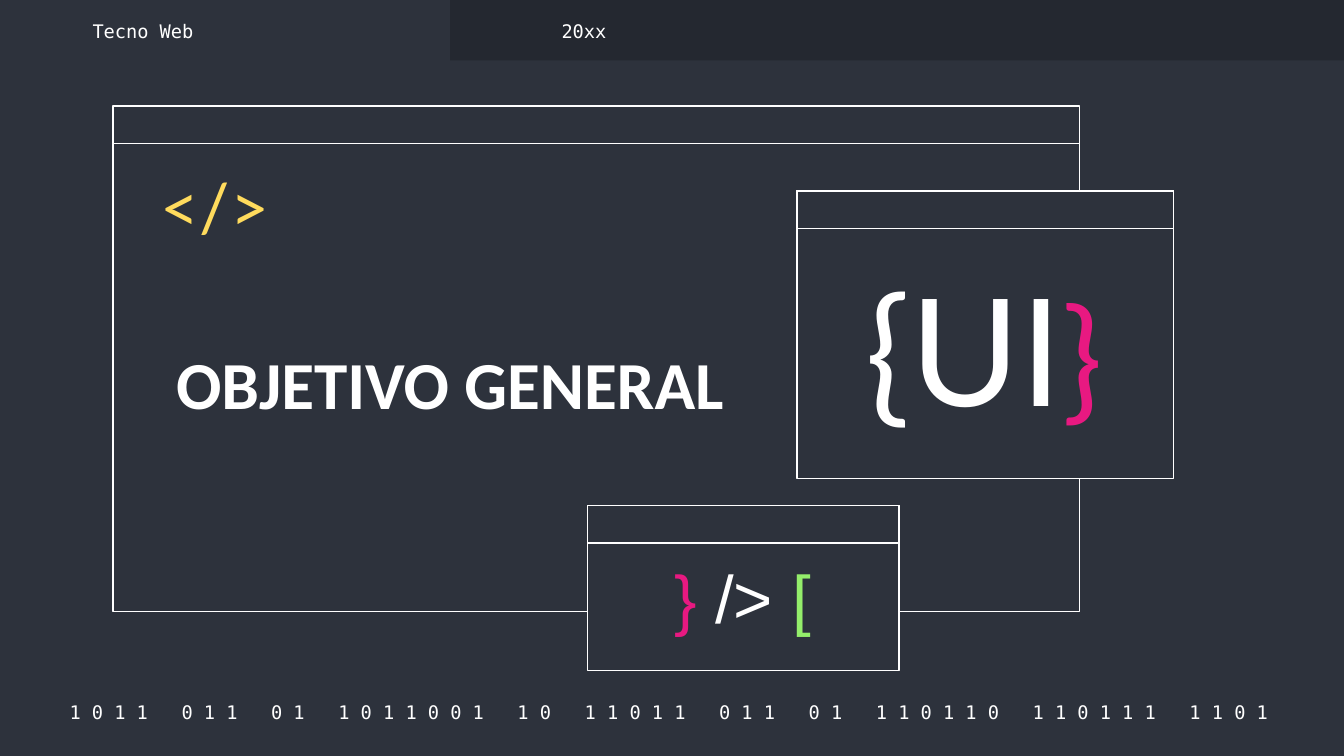
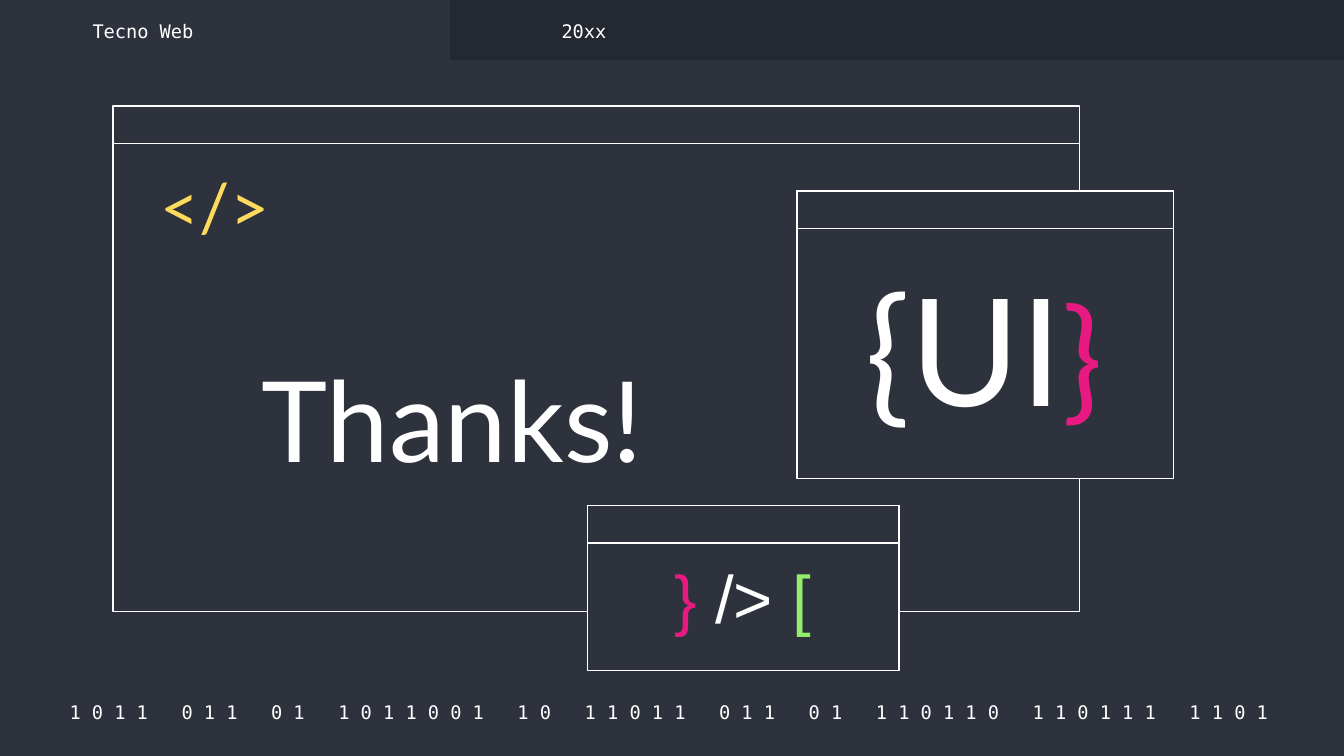
from pptx import Presentation
from pptx.dml.color import RGBColor
from pptx.enum.shapes import MSO_SHAPE
from pptx.enum.text import MSO_ANCHOR, MSO_AUTO_SIZE, PP_ALIGN
from pptx.util import Inches, Pt

RECT = MSO_SHAPE.RECTANGLE
TOP, MIDDLE, BOTTOM = MSO_ANCHOR.TOP, MSO_ANCHOR.MIDDLE, MSO_ANCHOR.BOTTOM
LEFT, CENTER, RIGHT = PP_ALIGN.LEFT, PP_ALIGN.CENTER, PP_ALIGN.RIGHT

DARK = RGBColor(0x2D, 0x32, 0x3C)
BAND = RGBColor(0x24, 0x28, 0x30)
WHITE = RGBColor(0xFF, 0xFF, 0xFF)
PINK = RGBColor(0xE8, 0x19, 0x81)
YELLOW = RGBColor(0xFF, 0xDB, 0x5D)
GREEN = RGBColor(0x94, 0xEE, 0x6B)

MONO, LATO, ARIAL, CALIBRI = "DejaVu Sans Mono", "Lato", "Arial", "Calibri"

# Content: title, font, size, bold, alignment
SLIDES = [
    ("OBJETIVO GENERAL", CALIBRI, 36, True, LEFT),
    ("Thanks!", LATO, 60, False, CENTER),
]
BITS = "1011 011 01 1011001 10 11011 011 01 110110 110111 1101".split()
CODE = "   ".join(" ".join(group) for group in BITS) + " "

# Windows from back to front: left, top, width, height
WINDOWS = [
    (0.84, 0.79, 7.19, 3.76),
    (4.37, 3.76, 2.32, 1.23),
    (5.93, 1.42, 2.8, 2.14),
]
BAR = 0.28
TITLE_BOX = (1.21, 2.36, 4.31, 0.9)

# Texts: box, anchor, alignment, line spacing, runs (text, size, font, colour)
TEXTS = [
    ((0.38, 5.2, 9.27, 0.2), MIDDLE, CENTER, 1.0, [(CODE, 10, MONO, WHITE)]),
    ((6.11, 1.7, 2.43, 1.65), BOTTOM, CENTER, 1.0,
     [("{UI", 80, LATO, WHITE), ("}", 72, LATO, PINK)]),
    ((0.92, 1.2, 1.18, 0.62), TOP, RIGHT, 0.9, [("</>", 36, LATO, YELLOW)]),
    ((0.59, 0.13, 2.19, 0.2), MIDDLE, LEFT, 1.0,
     [("Tecno Web", 10, MONO, WHITE)]),
    ((4.08, 0.13, 2.19, 0.2), MIDDLE, LEFT, 1.0, [("20xx", 10, MONO, WHITE)]),
    ((4.86, 4.11, 1.33, 0.82), TOP, CENTER, 0.9,
     [("}", 36, ARIAL, PINK), (" /> ", 36, ARIAL, WHITE),
      ("[", 36, ARIAL, GREEN)]),
]


def add_rect(shapes, box, fill, line=None):
    rect = shapes.add_shape(RECT, *map(Inches, box))
    rect.shadow.inherit = False
    rect.fill.solid()
    rect.fill.fore_color.rgb = fill
    if line is None:
        rect.line.fill.background()
    else:
        rect.line.color.rgb = line
        rect.line.width = Pt(0.75)


def add_window(slide, box):
    left, top, width, height = box
    group = slide.shapes.add_group_shape()
    for tall in (height, BAR):
        add_rect(group.shapes, (left, top, width, tall), DARK, WHITE)


def write(shape, anchor, align, spacing, runs, bold=False):
    frame = shape.text_frame
    frame.word_wrap = True
    frame.auto_size = MSO_AUTO_SIZE.NONE
    frame.vertical_anchor = anchor
    frame.margin_left = frame.margin_right = Inches(0.1)
    frame.margin_top = frame.margin_bottom = Inches(0.1)
    para = frame.paragraphs[0]
    para.alignment = align
    para.line_spacing = spacing
    for text, size, face, color in runs:
        run = para.add_run()
        run.text = text
        font = run.font
        font.size, font.name, font.bold = Pt(size), face, bold
        font.color.rgb = color
    return para


def add_title(slide, text, face, size, bold, align):
    title = slide.shapes.title
    title.left, title.top, title.width, title.height = map(Inches, TITLE_BOX)
    para = write(title, TOP, align, 1.15, [(text, size, face, WHITE)], bold)
    para.space_before, para.space_after = Pt(0), Pt(8)
    # Bring the title in front of the windows
    slide.shapes.element.append(title.element)


def build(deck, item):
    slide = deck.slides.add_slide(deck.slide_layouts[5])
    add_rect(slide.shapes, (3.35, 0, 6.65, 0.45), BAND)
    for box in WINDOWS:
        add_window(slide, box)
    add_title(slide, *item)
    for box, *style in TEXTS:
        write(slide.shapes.add_textbox(*map(Inches, box)), *style)


def main():
    deck = Presentation()
    # Widescreen, 16 to 9
    deck.slide_width = Inches(10)
    deck.slide_height = Inches(10) * 9 // 16
    ground = deck.slide_master.background.fill
    ground.solid()
    ground.fore_color.rgb = DARK
    for item in SLIDES:
        build(deck, item)
    deck.save("out.pptx")


if __name__ == "__main__":
    main()
